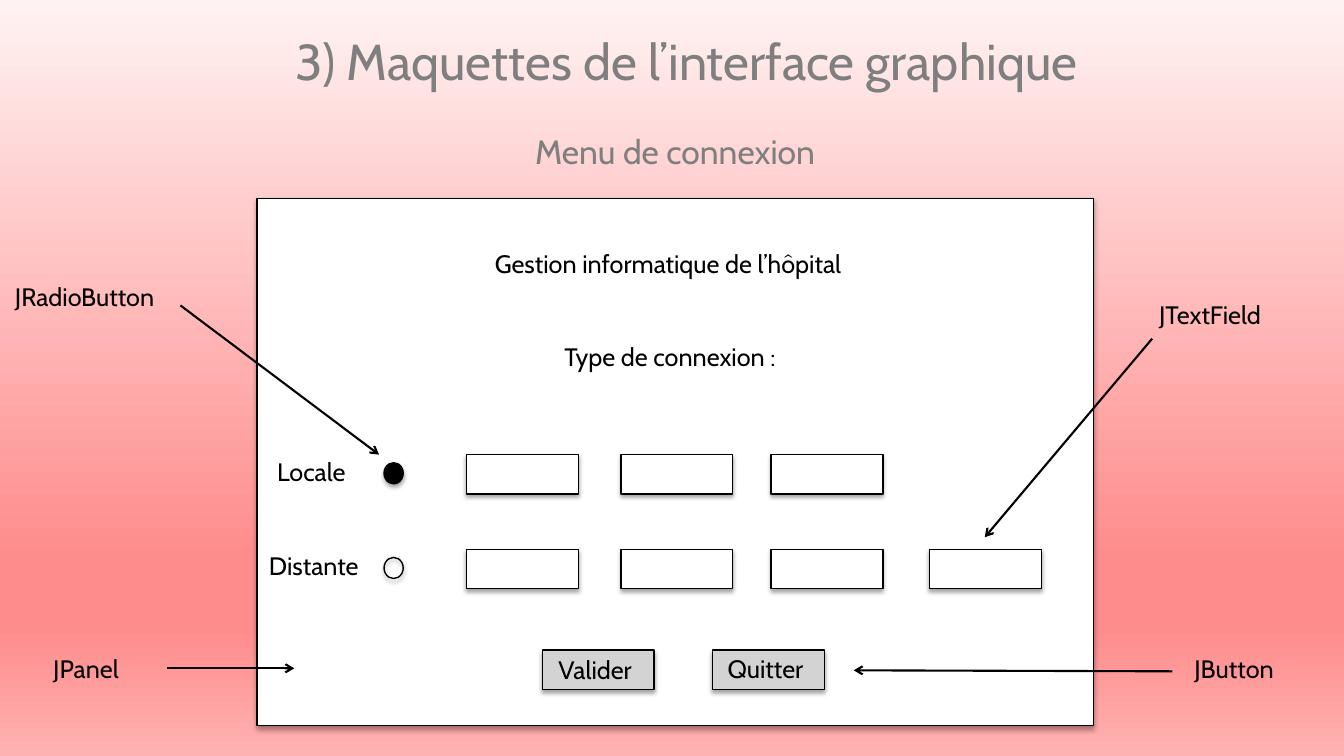
from lxml.etree import SubElement as Sub
from pptx import Presentation as Deck
from pptx.dml.color import RGBColor as Rgb
from pptx.enum.shapes import MSO_CONNECTOR as Link, MSO_SHAPE as Shape
from pptx.enum.text import MSO_ANCHOR as Anchor, MSO_AUTO_SIZE as Fit, PP_ALIGN as Align
from pptx.oxml.ns import qn
from pptx.util import Inches, Pt

# Grid: every cell is a tenth of an inch, 133.33 columns by 75 rows
CELL = Inches(0.1)
COLS, ROWS = 133.33, 75

FONT = "Cabin"
HUES = {
    "ink": "000000",
    "head": "7F7F7F",
    "panel": "FFFFFF",
    "button": "D3D3D3",
    "pale": "FFF2F2",
    "red": "FF8C8C",
    "rose": "FFB2B2",
}
STOPS = [(0, "pale"), (74, "red"), (83, "red"), (100, "rose")]

# Mock-up window: columns and rows of its controls
FIELD = (11.1, 3.9)
RADIO = (1.9, 2.1)
FIELD_COLS = [46.3, 61.6, 76.5, 92.2]
CHOICES = [  # label, label column, row, number of fields, radio fill
    ("Locale", 26.5, 45.1, 3, "ink"),
    ("Distante", 25.7, 54.5, 4, None),
]
BUTTONS = [("Valider", 53.8, 54.4, 64.4), ("Quitter", 70.7, 71.2, 64.3)]
BUTTON_ROW = 64.5
HEADINGS = [
    ("Type de connexion :", 55, 33.4, 26.1),
    ("Gestion informatique de l’hôpital", 48.1, 24.1, 43.2),
]

# Callouts: text, column, row, width, arrow start, arrow end
NOTES = [
    ("JRadioButton", 0.5, 27.4, 19.4, (17.9, 30.3), (37.6, 45.1)),
    ("JTextField", 114, 29.2, 16.4, (114.3, 33.6), (97.7, 53.3)),
    ("JButton", 117.5, 64.3, 12.5, (116.3, 66.6), (84.7, 66.5)),
    ("JPanel", 4.3, 64.3, 12.7, (16.6, 66.3), (29.2, 66.3)),
]


def grid(*cells):
    return [round(n * CELL) for n in cells]


def tint(name):
    return Rgb.from_string(HUES[name])


def paint_back(slide):
    """Fill the background with the vertical red fade."""
    slide.background.fill.gradient()
    fade = slide.element.find(".//" + qn("a:gradFill"))
    stops = fade.find(qn("a:gsLst"))
    for stop in list(stops):
        stops.remove(stop)
    for share, name in STOPS:
        stop = Sub(stops, qn("a:gs"), pos=str(share * 1000))
        Sub(stop, qn("a:srgbClr"), val=HUES[name])
    fade.find(qn("a:lin")).set("ang", "5400000")


def add_text(slide, text, col, row, wide, high=4, size=18, hue="ink", wrap=True):
    box = slide.shapes.add_textbox(*grid(col, row, wide, high))
    frame = box.text_frame
    frame.text = text
    frame.word_wrap = wrap
    frame.auto_size = Fit.SHAPE_TO_FIT_TEXT
    font = frame.paragraphs[0].runs[0].font
    font.name, font.size = FONT, Pt(size)
    font.color.rgb = tint(hue)
    return frame


def add_part(slide, kind, col, row, size, hue):
    """Draw a black-edged shape with a soft shadow below it."""
    part = slide.shapes.add_shape(kind, *grid(col, row, *size))
    if hue:
        part.fill.solid()
        part.fill.fore_color.rgb = tint(hue)
    else:
        part.fill.background()
    part.line.color.rgb = tint("ink")
    part.line.width = Pt(1)
    part.shadow.inherit = False
    glow = part.element.spPr.find(qn("a:effectLst"))
    shade = Sub(glow, qn("a:outerShdw"), blurRad=str(Pt(3)), dist=str(Pt(2)),
                dir="5400000", rotWithShape="0")
    tone = Sub(shade, qn("a:srgbClr"), val=HUES["ink"])
    Sub(tone, qn("a:alpha"), val="35000")


def add_arrow(slide, start, end):
    arrow = slide.shapes.add_connector(Link.STRAIGHT, *grid(*start, *end))
    arrow.line.color.rgb = tint("ink")
    arrow.line.width = Pt(1.5)
    props = arrow.element.spPr
    Sub(props.find(qn("a:ln")), qn("a:tailEnd"), type="arrow")
    Sub(props, qn("a:effectLst"))


def add_titles(slide):
    title = add_text(slide, "3) Maquettes de l’interface graphique",
                     21.1, 1.9, 94, 8.1, 36, "head")
    title.auto_size = Fit.NONE
    title.vertical_anchor = Anchor.MIDDLE
    title.paragraphs[0].alignment = Align.CENTER
    add_text(slide, "Menu de connexion", 52.1, 12.5, 30.9, 5, 24, "head", False)


def add_window(slide):
    add_part(slide, Shape.RECTANGLE, 25.5, 19.7, (83, 52.3), "panel")
    for heading in HEADINGS:
        add_text(slide, *heading)
    for label, col, row, count, hue in CHOICES:
        add_text(slide, label, col, row - 0.35, 11.5)
        add_part(slide, Shape.OVAL, 38.1, row + 0.8, RADIO, hue)
        for left in FIELD_COLS[:count]:
            add_part(slide, Shape.RECTANGLE, left, row, FIELD, "panel")
    for label, col, left, top in BUTTONS:
        add_part(slide, Shape.RECTANGLE, col, BUTTON_ROW, FIELD, "button")
        add_text(slide, label, left, top, 11.5)


def main():
    deck = Deck()
    deck.slide_width, deck.slide_height = grid(COLS, ROWS)
    slide = deck.slides.add_slide(deck.slide_layouts[6])
    paint_back(slide)
    add_titles(slide)
    add_window(slide)
    # Callouts around the window
    for text, col, row, wide, start, end in NOTES:
        add_text(slide, text, col, row, wide)
        add_arrow(slide, start, end)
    deck.save("out.pptx")


if __name__ == "__main__":
    main()
